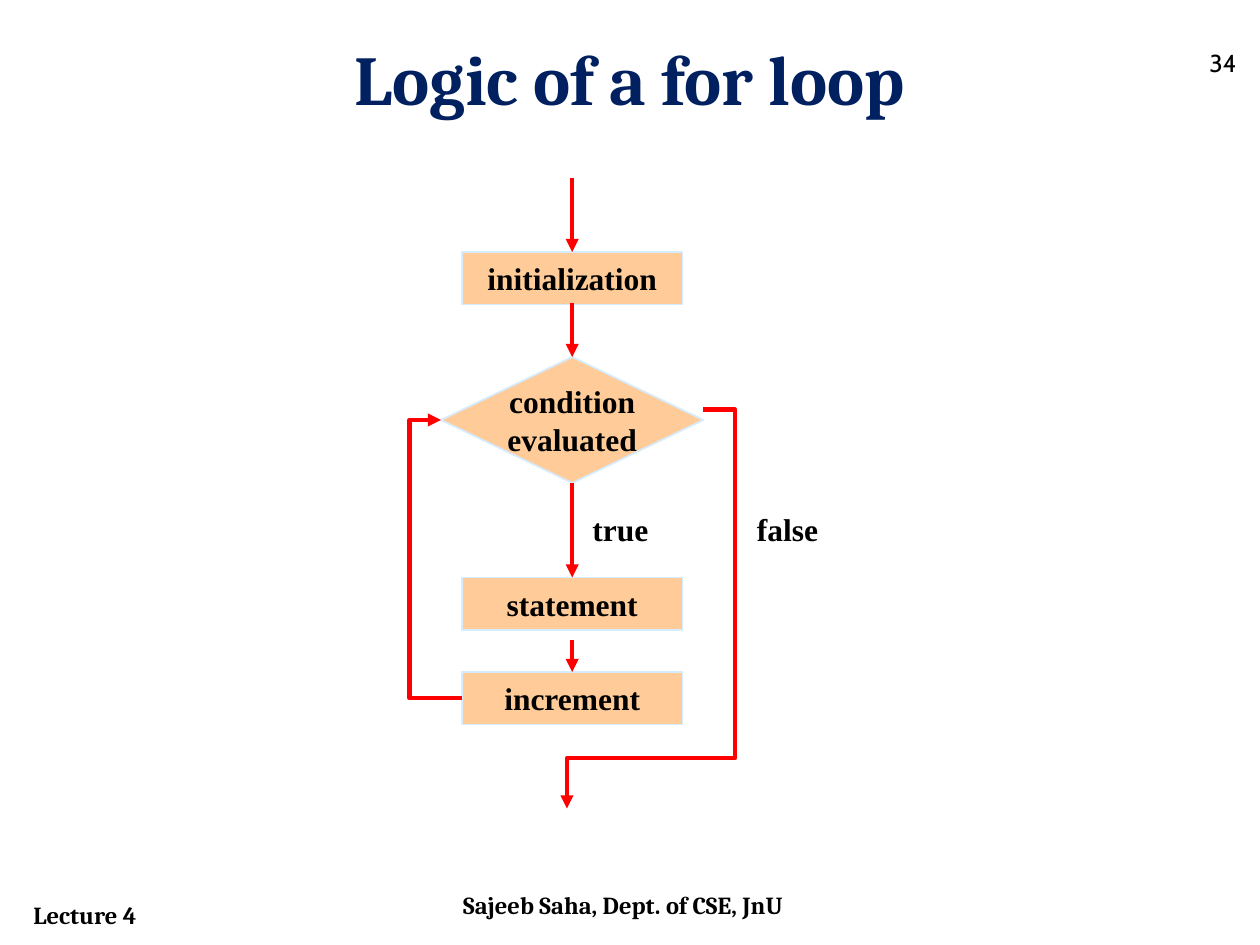
"""Build a slide with the flowchart of a for loop."""
from pptx import Presentation
from pptx.dml.color import RGBColor
from pptx.enum.shapes import MSO_CONNECTOR as Link, MSO_SHAPE as Kind
from pptx.enum.text import MSO_ANCHOR as Anchor, MSO_AUTO_SIZE as Fit, PP_ALIGN as Align
from pptx.oxml.ns import qn
from pptx.util import Pt
from lxml.etree import SubElement

hue = RGBColor.from_string


def write(shape, text, size=18, font="Times New Roman", color="000000", bold=True,
          align=Align.CENTER, anchor=Anchor.MIDDLE, wrap=False):
    frame = shape.text_frame
    frame.text = text
    frame.word_wrap = wrap
    frame.auto_size = Fit.NONE
    frame.vertical_anchor = anchor
    for para in frame.paragraphs:
        para.alignment = align
        para.font.size = Pt(size)
        para.font.name = font
        para.font.bold = bold
        para.font.color.rgb = hue(color)


deck = Presentation()
deck.slide_width, deck.slide_height = Pt(720), Pt(540)
slide = deck.slides.add_slide(deck.slide_layouts[5])
shapes = slide.shapes

title = shapes.title
title.left, title.top, title.width, title.height = Pt(36), Pt(16.5), Pt(648), Pt(49)
write(title, "Logic of a for loop", size=40, font="Cambria", color="002060",
      anchor=Anchor.TOP, wrap=True)

mid = 327
steps = [
    ("initialization", Kind.RECTANGLE, 144, 126, 30),
    ("condition\nevaluated", Kind.DIAMOND, 204, 150, 72),
    ("statement", Kind.RECTANGLE, 330, 126, 30),
    ("increment", Kind.RECTANGLE, 384, 126, 30),
]
for text, kind, top, wide, high in steps:
    step = shapes.add_shape(kind, Pt(mid - wide / 2), Pt(top), Pt(wide), Pt(high))
    step.shadow.inherit = False
    step.fill.solid()
    step.fill.fore_color.rgb = hue("FFCC99")
    step.line.color.rgb = hue("D6ECFF")
    step.line.width = Pt(1)
    write(step, text)

arrows = [
    (mid, 102, mid, 144, "line", []),
    (mid, 173, mid, 204, "line", []),
    (mid, 276, mid, 330, "line", []),
    (mid, 366, mid, 384, "line", []),
    (264, 399, 252, 240, "bentConnector3", [250000]),
    (402, 234, 324, 462, "bentConnector4", [-23100, 87400]),
]
for x1, y1, x2, y2, form, bends in arrows:
    route = Link.ELBOW if bends else Link.STRAIGHT
    arrow = shapes.add_connector(route, Pt(x1), Pt(y1), Pt(x2), Pt(y2))
    arrow.line.color.rgb = hue("FF0000")
    arrow.line.width = Pt(2.5)
    props = arrow._element.spPr
    SubElement(props.find(qn("a:ln")), qn("a:tailEnd"), type="triangle")
    SubElement(props, qn("a:effectLst"))
    geom = props.find(qn("a:prstGeom"))
    geom.set("prst", form)
    guides = geom.get_or_add_avLst()
    for num, bend in enumerate(bends, 1):
        SubElement(guides, qn("a:gd"), name=f"adj{num}", fmla=f"val {bend}")

note = dict(size=14, font="Cambria", align=Align.LEFT, anchor=Anchor.TOP, wrap=True)
labels = [
    ("true", 331, 288, 47, 29, {}),
    ("false", 425, 288, 50, 29, {}),
    ("Lecture 4", 12, 510.5, 144, 24.5, note),
    ("Sajeeb Saha, Dept. of CSE, JnU", 257.5, 505, 204, 29, note),
    ("34", 684, 24, 30, 29, note | dict(font="Cabin", bold=False)),
]
for text, left, top, wide, high, style in labels:
    label = shapes.add_textbox(Pt(left), Pt(top), Pt(wide), Pt(high))
    write(label, text, **style)

deck.save("out.pptx")
